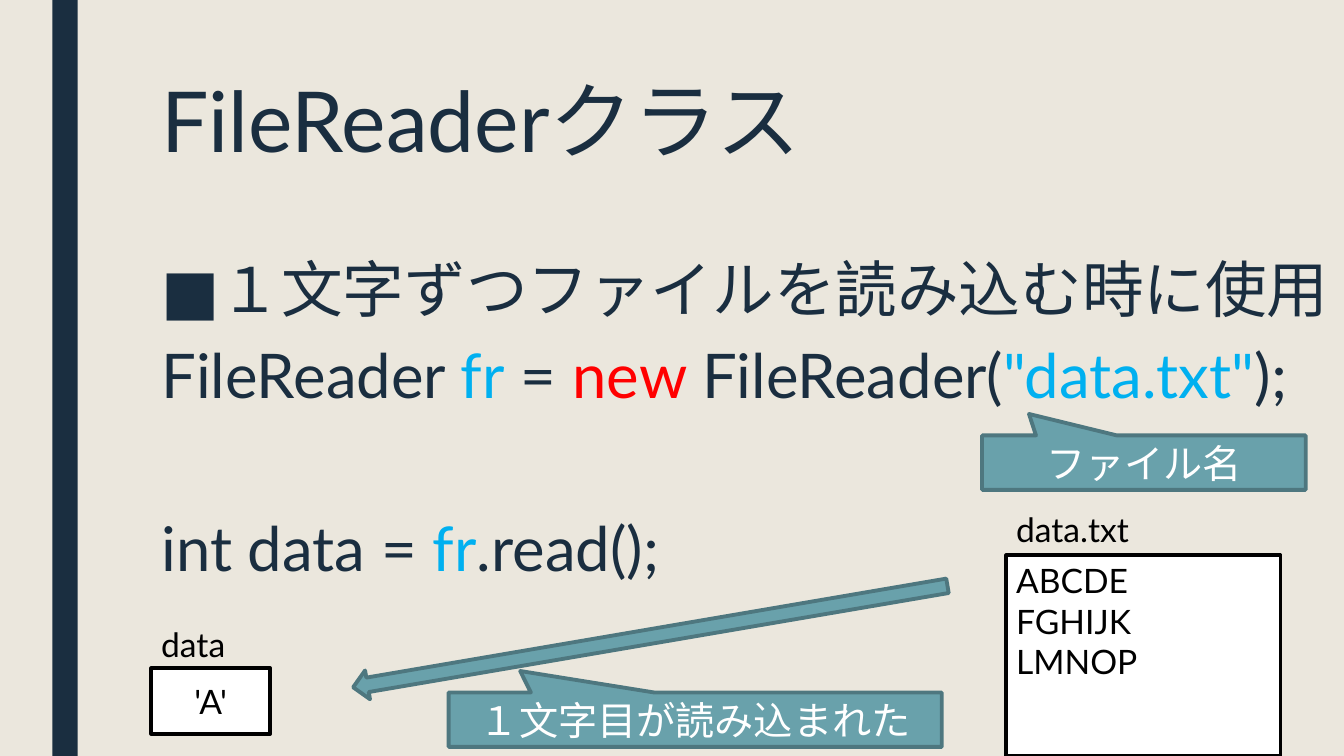
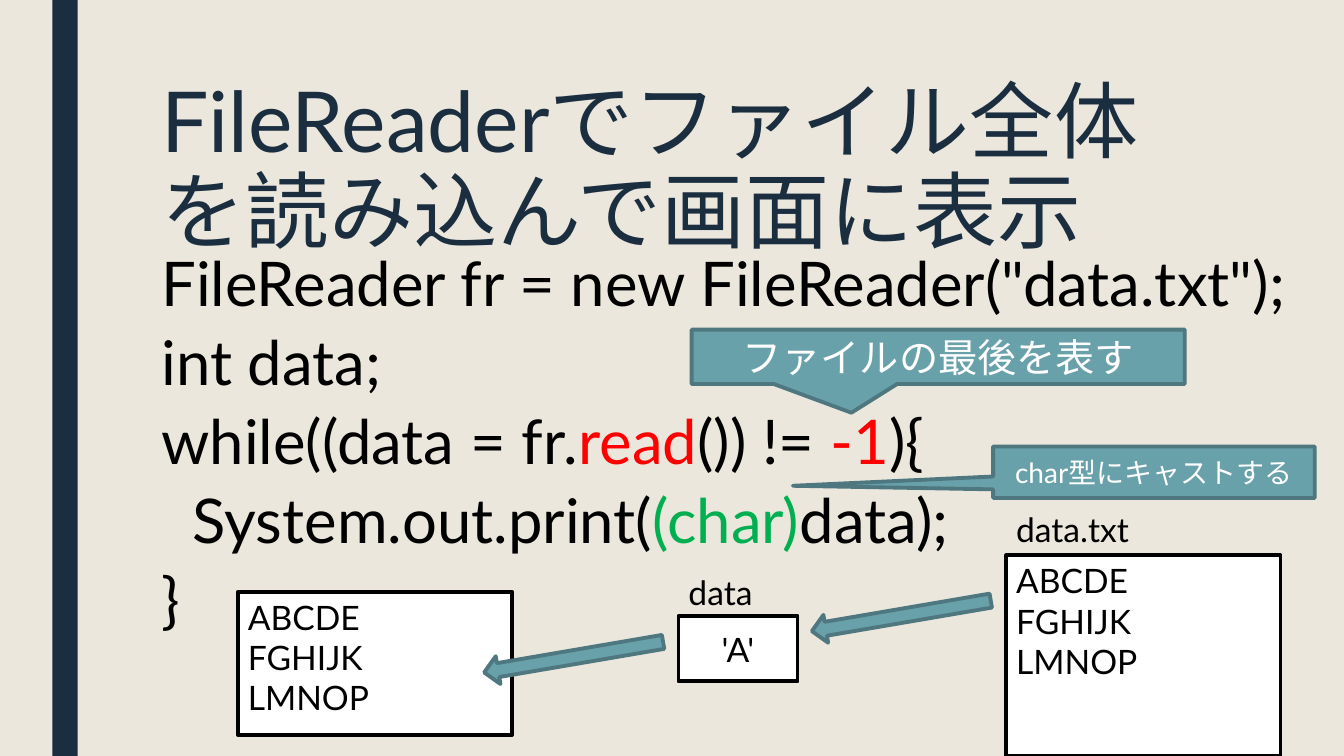
import pptx
import pptx.util
import pptx.dml.color
import pptx.enum.shapes
import pptx.enum.text
import lxml.etree

Inches = pptx.util.Inches
Pt = pptx.util.Pt
Shape = pptx.enum.shapes.MSO_SHAPE
Align = pptx.enum.text.PP_ALIGN
Anchor = pptx.enum.text.MSO_ANCHOR
Fit = pptx.enum.text.MSO_AUTO_SIZE

FONT = "Lato"
NAVY, SAND, TEAL, EDGE = "1A2E40", "EBE7DD", "69A1AB", "4E777F"
BLACK, WHITE = "000000", "FFFFFF"
RED, BLUE, GREEN = "FF0000", "00B0F0", "00B050"

TITLE = (1.5, 0.75, 10.5, 1.62)
BODY = (1.5, 2.5, 11.83, 3.92)
FILE = (9.98, 5.51, 2.72, 1.99)
CELL = (1.18, 0.65)
LINES = ["ABCDE", "FGHIJK", "LMNOP"]


def tint(code):
    return pptx.dml.color.RGBColor.from_string(code)


def dress(thing, **looks):
    for name, value in looks.items():
        setattr(thing, name, value)


def place(shape, box):
    names = ("left", "top", "width", "height")
    dress(shape, **{name: Inches(size) for name, size in zip(names, box)})


def write(frame, lines, size, color, align=Align.LEFT, **looks):
    """Each line is a string or a list of strings and (string, colour) pairs."""
    for index, line in enumerate(lines):
        para = frame.add_paragraph() if index else frame.paragraphs[0]
        dress(para, alignment=align, **looks)
        if not index:
            para.space_before = Pt(0)
        for part in [line] if isinstance(line, str) else line:
            text, ink = (part, color) if isinstance(part, str) else part
            run = para.add_run()
            run.text = text
            dress(run.font, name=FONT, size=Pt(size))
            run.font.color.rgb = tint(ink)


def block(slide, kind, box, fill, edge=None):
    shape = slide.shapes.add_shape(kind, *map(Inches, box))
    shape.shadow.inherit = False
    shape.fill.solid()
    shape.fill.fore_color.rgb = tint(fill)
    if edge:
        shape.line.color.rgb = tint(edge)
        shape.line.width = Pt(2.75)
    else:
        shape.line.fill.background()
    return shape


def label(slide, text, x, y):
    box = slide.shapes.add_textbox(*map(Inches, (x, y, 1.42, 0.5)))
    box.text_frame.word_wrap = True
    write(box.text_frame, [text], 24, BLACK)


# White box listing the lines of a file
def page(slide, box, name=None):
    sheet = block(slide, Shape.RECTANGLE, box, WHITE, BLACK)
    sheet.text_frame.vertical_anchor = Anchor.TOP
    write(sheet.text_frame, LINES, 24, BLACK)
    if name:
        label(slide, name, box[0], box[1] - 0.51)


# Variable with its name above it
def cell(slide, x, y):
    shape = block(slide, Shape.RECTANGLE, (x, y, *CELL), WHITE, BLACK)
    write(shape.text_frame, ["'A'"], 24, BLACK, Align.CENTER)
    label(slide, "data", x, y - 0.49)


def callout(slide, text, box, tip, size=28):
    shape = block(slide, Shape.RECTANGULAR_CALLOUT, box, TEAL, EDGE)
    for index, value in enumerate(tip):
        shape.adjustments[index] = value
    shape.text_frame.vertical_anchor = Anchor.MIDDLE
    write(shape.text_frame, [text], size, WHITE, Align.CENTER)


def arrow(slide, box):
    block(slide, Shape.LEFT_ARROW, box, TEAL, EDGE).rotation = 350.3


def bullet(para, mark=None):
    props = para._p.get_or_add_pPr()
    inset = Inches(0.42) if mark else 0
    props.set("marL", str(inset))
    props.set("indent", str(-inset))
    space = "{http://schemas.openxmlformats.org/drawingml/2006/main}"
    if mark:
        lxml.etree.SubElement(props, space + "buFont", typeface=FONT)
        lxml.etree.SubElement(props, space + "buChar", char=mark)
    else:
        lxml.etree.SubElement(props, space + "buNone")


# Title and body text of a slide
def start(deck, title, lines, color, pitch):
    slide = deck.slides.add_slide(deck.slide_layouts[1])
    head, body = slide.shapes.title, slide.placeholders[1]
    for shape, box in ((head, TITLE), (body, BODY)):
        place(shape, box)
        dress(shape.text_frame, word_wrap=True, auto_size=Fit.NONE,
              vertical_anchor=Anchor.TOP)
    write(head.text_frame, [title], 60, NAVY, line_spacing=0.89)
    write(body.text_frame, lines, 44, color, line_spacing=pitch,
          space_before=Pt(10), space_after=Pt(2))
    return slide, body.text_frame.paragraphs


# Background and side band, shared through the master
def theme(deck, slide):
    master = deck.slide_master
    master.background.fill.solid()
    master.background.fill.fore_color.rgb = tint(SAND)
    band = block(slide, Shape.RECTANGLE, (0.52, 0, 0.25, 7.5), NAVY)
    master.shapes.element.append(band.element)


def reader(deck):
    slide, paras = start(deck, "FileReaderクラス", [
        "１文字ずつファイルを読み込む時に使用",
        ["FileReader ", ("fr", BLUE), " = ", ("new ", RED), "FileReader(",
         ("\"data.txt\"", BLUE), ");"],
        ["int data = ", ("fr", BLUE), ".read();"],
    ], NAVY, 0.94)
    for index, para in enumerate(paras):
        bullet(para, None if index else "■")
    paras[2].space_before = Pt(72)
    tip = (-0.355, -0.895)
    callout(slide, "ファイル名", (9.74, 4.32, 3.21, 0.54), tip)
    page(slide, FILE, "data.txt")
    cell(slide, 1.5, 6.63)
    arrow(slide, (3.46, 6.17, 5.98, 0.29))
    callout(slide, "１文字目が読み込まれた", (4.45, 6.87, 4.89, 0.54), tip)
    return slide


def whole(deck):
    slide, paras = start(deck, "FileReaderでファイル全体を読み込んで画面に表示", [
        "FileReader fr = new FileReader(\"data.txt\");",
        "int data;",
        ["while((data = fr.", ("read", RED), "()) != ", ("-1", RED), "){"],
        ["  System.out.print(", ("(char)", GREEN), "data);"],
        "}",
    ], BLACK, 0.84)
    for para in paras:
        bullet(para)
    page(slide, FILE, "data.txt")
    cell(slide, 6.73, 6.11)
    callout(slide, "ファイルの最後を表す", (6.86, 3.27, 4.89, 0.54), (-0.176, 1.027))
    page(slide, (2.36, 5.87, 2.72, 1.42))
    for x, y in ((8.04, 5.97), (4.79, 6.38)):
        arrow(slide, (x, y, 1.8, 0.28))
    callout(slide, "char型にキャストする", (9.85, 4.43, 3.19, 0.51),
            (-1.123, 0.264), 20)


def main():
    deck = pptx.Presentation()
    dress(deck, slide_width=Inches(13.33), slide_height=Inches(7.5))
    theme(deck, reader(deck))
    whole(deck)
    deck.save("out.pptx")


if __name__ == "__main__":
    main()
